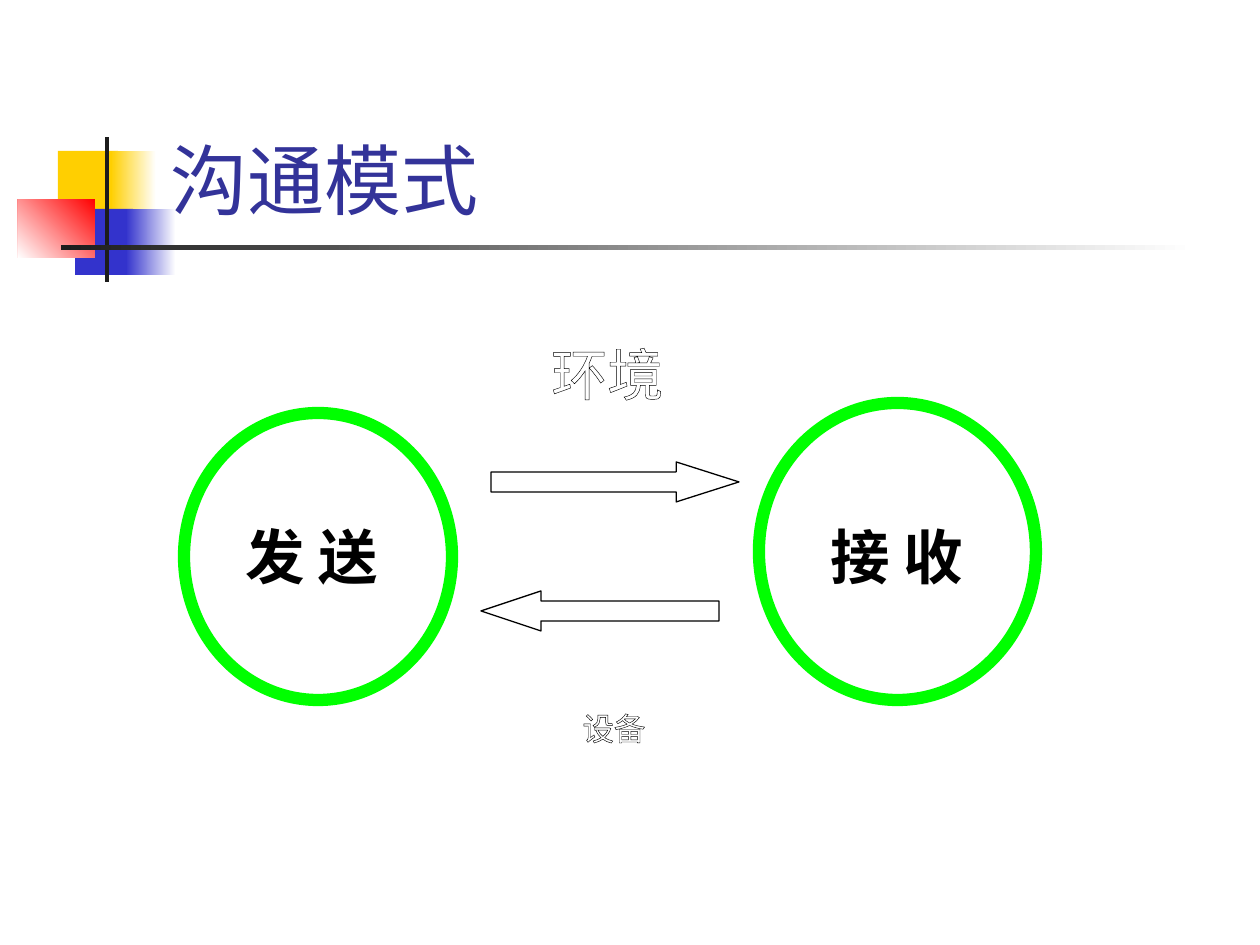
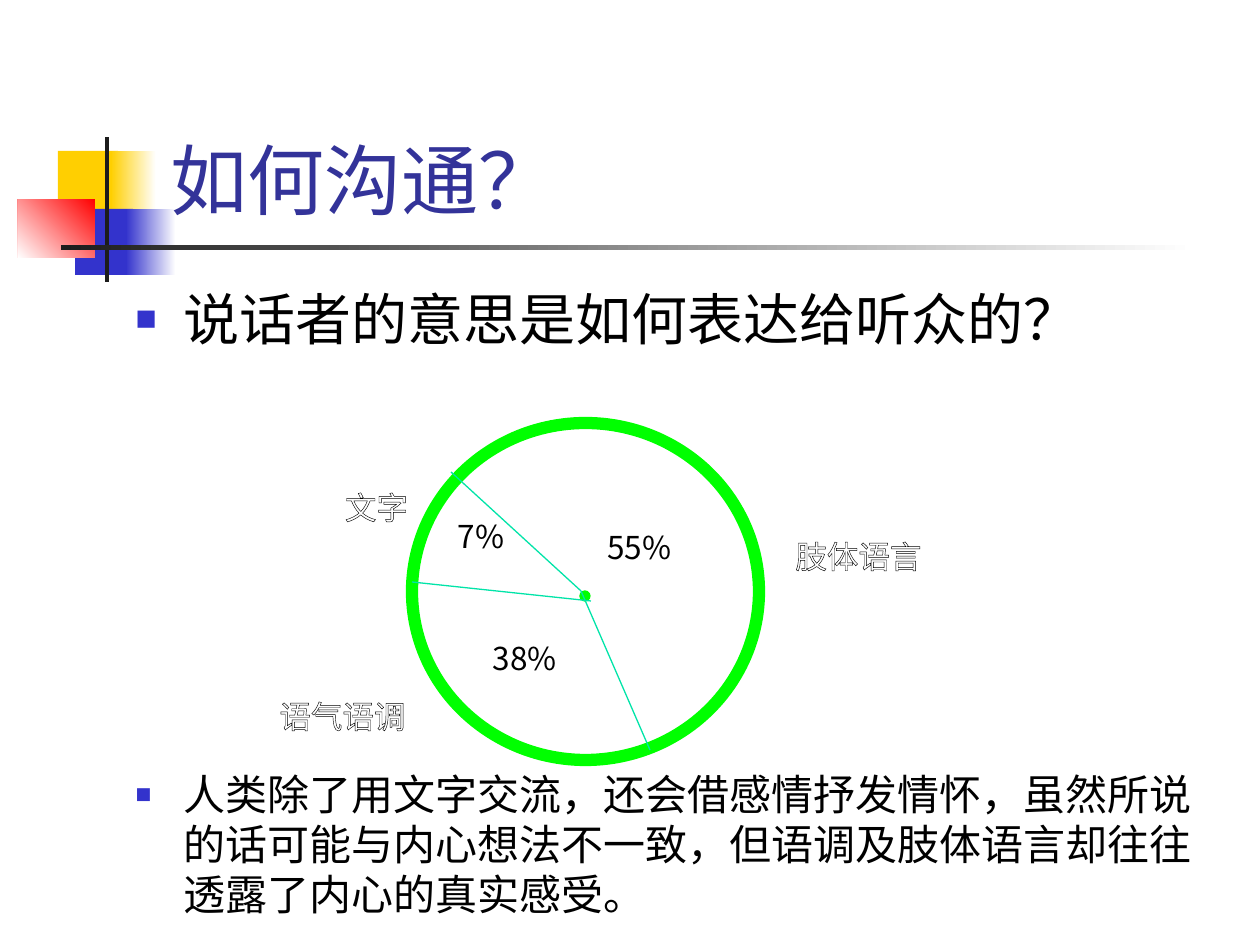
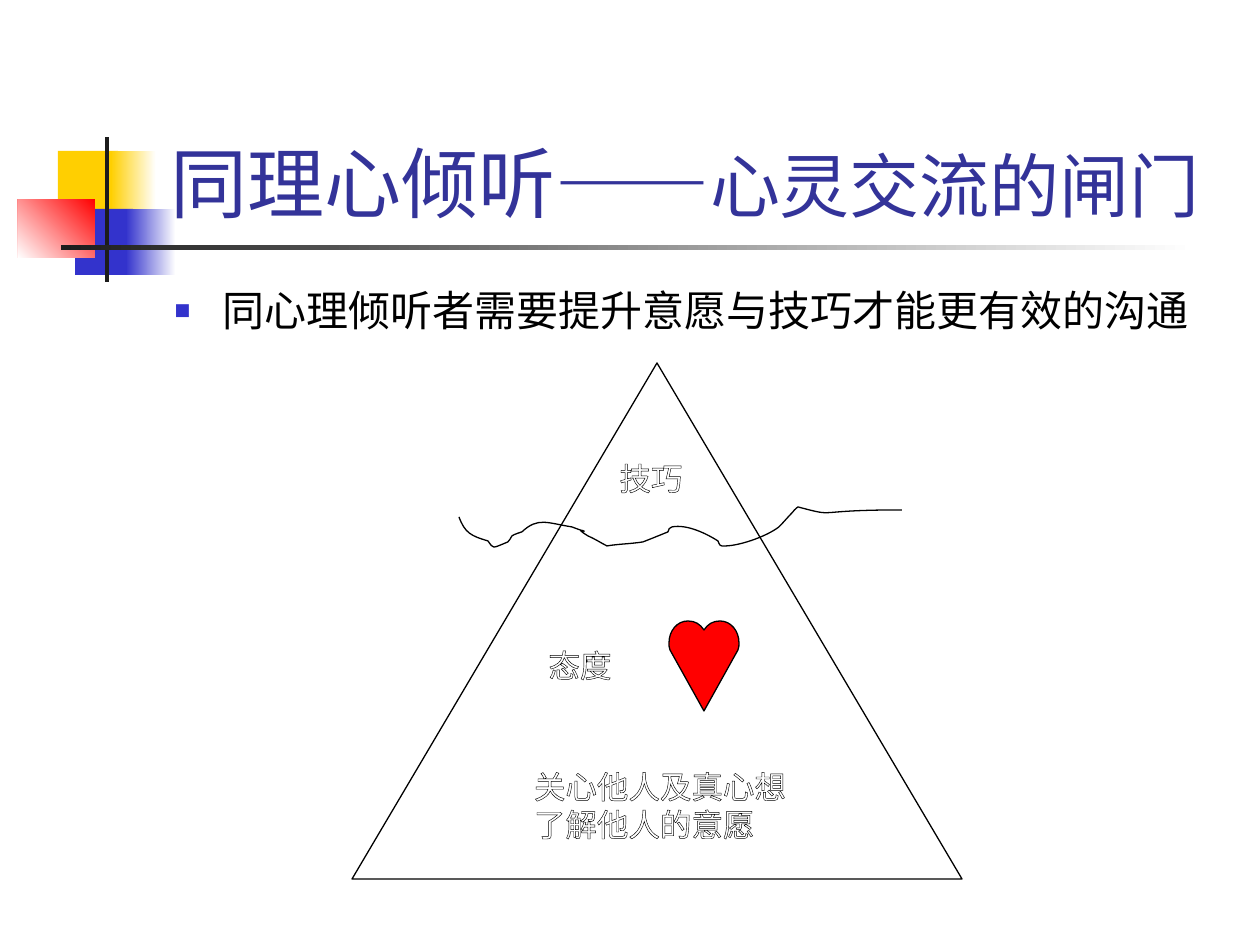
from lxml import etree
from pptx import Presentation
from pptx.dml.color import RGBColor
from pptx.enum.lang import MSO_LANGUAGE_ID
from pptx.enum.shapes import MSO_CONNECTOR, MSO_SHAPE
from pptx.enum.text import MSO_ANCHOR, MSO_AUTO_SIZE, PP_ALIGN
from pptx.oxml.ns import qn
from pptx.util import Emu, Pt

RECT, OVAL, TRIANGLE = MSO_SHAPE.RECTANGLE, MSO_SHAPE.OVAL, MSO_SHAPE.ISOSCELES_TRIANGLE
RIGHT, LEFT = MSO_SHAPE.RIGHT_ARROW, MSO_SHAPE.LEFT_ARROW
STRAIGHT = MSO_CONNECTOR.STRAIGHT
CHINESE = MSO_LANGUAGE_ID.SIMPLIFIED_CHINESE
SCALE = 914400 / 126  # EMU in one px
TEXT_FONT, LABEL_FONT = "Cabin", "Noto Sans CJK SC"
COLORS = {
    "title": "333399", "text": "000000", "white": "FFFFFF", "ink": "1C1C1C",
    "yellow": "FFCF01", "blue": "3333CC", "red": "FF0000",
    "ring": "00FF00", "ray": "00E4A8",
}

# Shared decoration: left, top, width, height, fill (two colours and angle make a gradient)
DECORATION = [
    ((58, 151, 60, 66), ("yellow",)),
    ((111, 151, 45, 66), ("white", "yellow", 180)),
    ((75, 209, 58, 66), ("blue",)),
    ((126, 209, 50, 66), ("white", "blue", 180)),
    ((18, 199, 77, 59), ("red", "white", 225)),
    ((105, 137, 4, 145), ("ink",)),
    ((61, 245, 1134, 5), ("white", "ink", 180)),
]
TITLE_PLACE = (158, 29, 1074, 202)

# Slide 1: communication model
MODEL_TITLE = [("沟通模式", 44, TEXT_FONT)]
MODEL_RINGS = [(184, 413, 268, 287), (759, 403, 277, 297)]
MODEL_ARROWS = [
    (RIGHT, (491, 462, 248, 40), 1.57),
    (LEFT, (481, 591, 238, 40), 1.5),
]
MODEL_ROLES = [("发 送", (233, 492, 179, 106)), ("接 收", (818, 492, 248, 106))]
MODEL_LABELS = [
    (["环境"], (551, 334, 113, 79), 32, "white"),
    (["设备"], (551, 690, 126, 63), 18, "white"),
]

# Slide 2: shares of meaning
SHARE_TITLE = [("如何沟通？", 44, TEXT_FONT)]
SHARE_BODY = [  # text, size, space before
    ("说话者的意思是如何表达给听众的？", 32, 0),
    ("人类除了用文字交流，还会借感情抒发情怀，虽然所说的话可能与内心想法不一致，"
     "但语调及肢体语言却往往透露了内心的真实感受。", 24, 238),
]
SHARE_RING = (412, 423, 347, 337)
SHARE_HUB = (580, 591, 10, 10)
SHARE_RAYS = [(581, 591, 451, 472), (581, 591, 650, 750), (412, 582, 591, 601)]
SHARE_LABELS = [
    (["7%"], (461, 531, 40, 30), 18, "text"),
    (["55%"], (610, 532, 59, 40), 18, "text"),
    (["38%"], (501, 651, 48, 32), 18, "text"),
    (["文字"], (343, 483, 67, 49), 18, "white"),
    (["语气语调"], (253, 701, 179, 40), 18, "white"),
    (["肢体语言"], (769, 532, 179, 49), 18, "white"),
]

# Slide 3: iceberg of empathic listening
ICEBERG_TITLE = [("同理心倾听——", 44, LABEL_FONT), ("心灵交流的闸门", 40, TEXT_FONT)]
ICEBERG_BODY = [("同心理倾听者需要提升意愿与技巧才能更有效的沟通", 24, 0)]
ICEBERG = (352, 363, 610, 516)
ICEBERG_LABELS = [
    (["技巧"], (600, 442, 102, 61), 18, "white"),
    (["态度"], (530, 631, 100, 59), 18, "white"),
    (["关心他人及真心想", "了解他人的意愿"], (422, 780, 476, 69), 18, "white"),
]
WATERLINE_START = (459, 517)
WATERLINE = [  # two control points and an end point for each curve
    ((465, 533), (471, 536), (488, 541)), ((494, 549), (491, 549), (508, 542)),
    ((510, 541), (510, 538), (512, 536)), ((515, 534), (519, 533), (522, 532)),
    ((538, 517), (547, 523), (572, 527)), ((601, 538), (567, 523), (588, 536)),
    ((595, 539), (601, 543), (607, 546)), ((619, 544), (631, 544), (643, 542)),
    ((651, 539), (668, 532), (668, 532)), ((669, 530), (669, 527), (672, 527)),
    ((687, 524), (707, 534), (718, 541)), ((719, 542), (719, 546), (722, 546)),
    ((737, 547), (766, 537), (779, 527)), ((784, 522), (788, 517), (793, 512)),
    ((794, 510), (798, 507), (798, 507)), ((840, 518), (808, 510), (902, 510)),
]
HEART_TIP = (704, 711)
HEART_LOBE = [  # left side up to the notch, each end point after its two controls
    (670, 650), (669, 648), (669, 645), (669, 643), (669, 631), (677, 621),
    (688, 621), (695, 621), (700, 624), (704, 630),
]


def px(*lengths):
    return [Emu(round(length * SCALE)) for length in lengths]


def color(name):
    return RGBColor.from_string(COLORS[name])


def place(shape, spot):
    shape.left, shape.top, shape.width, shape.height = px(*spot)


def paint(shape, fill=None, line=None, width=0.75):
    shape.shadow.inherit = False
    if fill:
        shape.fill.solid()
        shape.fill.fore_color.rgb = color(fill)
    else:
        shape.fill.background()
    if line:
        shape.line.color.rgb = color(line)
        shape.line.width = Pt(width)
    else:
        shape.line.fill.background()
    return shape


def add_shape(page, kind, spot, **style):
    return paint(page.shapes.add_shape(kind, *px(*spot)), **style)


def add_span(para, text, size, name, font, east_font=None, bold=False, outlined=False):
    span = para.add_run()
    span.text = text
    span.font.size, span.font.bold = Pt(size), bold
    span.font.color.rgb = color(name)
    span.font.name = font
    span.font.language_id = CHINESE
    props = span.font._element
    etree.SubElement(props, qn("a:ea"), typeface=east_font or font)
    if outlined:
        outline = etree.Element(qn("a:ln"), w=str(Pt(0.75)))
        fill = etree.SubElement(outline, qn("a:solidFill"))
        etree.SubElement(fill, qn("a:srgbClr"), val=COLORS["text"])
        props.insert(0, outline)


def add_text(page, lines, spot, size, name="text", role=False):
    """Bottom-anchored text: a bold wrapped role or an outlined label centred as a block."""
    frame = page.shapes.add_textbox(*px(*spot)).text_frame
    frame.word_wrap = role
    frame.auto_size = MSO_AUTO_SIZE.SHAPE_TO_FIT_TEXT if role else MSO_AUTO_SIZE.NONE
    frame.vertical_anchor = MSO_ANCHOR.BOTTOM
    if not role:
        frame._txBody.bodyPr.set("anchorCtr", "1")
    for i, text in enumerate(lines):
        para = frame.add_paragraph() if i else frame.paragraphs[0]
        if role:
            para.line_spacing = 1.3
        add_span(para, text, size, name, TEXT_FONT if role else LABEL_FONT,
                 bold=role, outlined=not role)


def add_labels(page, labels):
    for label in labels:
        add_text(page, *label)


def add_bullet(para):
    props = para._p.get_or_add_pPr()
    indent = px(48)[0]
    props.set("marL", str(indent))
    props.set("indent", str(-indent))
    tint = etree.SubElement(props, qn("a:buClr"))
    etree.SubElement(tint, qn("a:srgbClr"), val=COLORS["blue"])
    etree.SubElement(props, qn("a:buSzPct"), val="40000")
    etree.SubElement(props, qn("a:buFont"), typeface=TEXT_FONT)
    etree.SubElement(props, qn("a:buChar"), char="■")


def fill_title(page, spans):
    frame = page.shapes.title.text_frame
    frame.auto_size = MSO_AUTO_SIZE.NONE
    frame.vertical_anchor = MSO_ANCHOR.BOTTOM
    para = frame.paragraphs[0]
    para.alignment = PP_ALIGN.LEFT
    for text, size, east_font in spans:
        add_span(para, text, size, "title", TEXT_FONT, east_font)
        if east_font == LABEL_FONT:  # its deeper descent would lift the line
            frame.margin_bottom = px(3)[0]


def fill_body(page, items, spot):
    body = page.placeholders[1]
    place(body, spot)
    frame = body.text_frame
    frame.auto_size = MSO_AUTO_SIZE.NONE
    for i, (text, size, before) in enumerate(items):
        para = frame.add_paragraph() if i else frame.paragraphs[0]
        add_bullet(para)
        para.space_before = Pt(before)
        add_span(para, text, size, "text", TEXT_FONT)


def add_ray(page, ends):
    ray = page.shapes.add_connector(STRAIGHT, *px(*ends))
    ray.line.color.rgb = color("ray")
    ray.line.width = Pt(0.75)
    etree.SubElement(ray.element.spPr, qn("a:effectLst"))


def add_outline(page, start, segments, close=False, **style):
    """Freeform whose segments are lines (one point) or cubic curves (three points)."""
    builder = page.shapes.build_freeform(*px(*start))
    builder.add_line_segments([px(*segment[-1]) for segment in segments], close=close)
    shape = paint(builder.convert_to_shape(), **style)
    for line, segment in zip(shape.element.xpath(".//a:lnTo"), segments):
        if len(segment) == 3:
            curve = etree.Element(qn("a:cubicBezTo"))
            for point in segment:
                x, y = px(*point)
                etree.SubElement(curve, qn("a:pt"), x=str(x - shape.left), y=str(y - shape.top))
            line.getparent().replace(line, curve)


def decorate_master(master, page):
    """Draw the shared parts, then move them to the master."""
    place(master.placeholders[0], TITLE_PLACE)
    for i, (spot, fill) in enumerate(DECORATION):
        box = add_shape(page, RECT, spot, fill=fill[0])
        if len(fill) == 3:
            box.fill.gradient()
            box.fill.gradient_angle = fill[2]
            for stop, name in zip(box.fill.gradient_stops, fill):
                stop.color.rgb = color(name)
        box.element.xpath(".//p:cNvPr")[0].set("id", str(100 + i))
        master.shapes.element.append(box.element)


def build_model(page):
    fill_title(page, MODEL_TITLE)
    for spot in MODEL_RINGS:
        add_shape(page, OVAL, spot, line="ring", width=7)
    for kind, spot, head in MODEL_ARROWS:
        arrow = add_shape(page, kind, spot, line="text")
        arrow.adjustments[0], arrow.adjustments[1] = 0.5, head
    for text, spot in MODEL_ROLES:
        add_text(page, [text], spot, 34, role=True)
    add_labels(page, MODEL_LABELS)


def build_shares(page):
    fill_title(page, SHARE_TITLE)
    fill_body(page, SHARE_BODY, (123, 278, 1090, 667))
    add_shape(page, OVAL, SHARE_RING, line="ring", width=7)
    add_shape(page, OVAL, SHARE_HUB, fill="ring", line="ring")
    for ends in SHARE_RAYS:
        add_ray(page, ends)
    add_labels(page, SHARE_LABELS)


def build_iceberg(page):
    fill_title(page, ICEBERG_TITLE)
    fill_body(page, ICEBERG_BODY, (162, 278, 1071, 567))
    add_shape(page, TRIANGLE, ICEBERG, fill="white", line="text")
    add_labels(page, ICEBERG_LABELS[:1])
    add_outline(page, WATERLINE_START, WATERLINE, line="text")
    add_labels(page, ICEBERG_LABELS[1:2])
    # The right lobe of the heart mirrors the left one
    mirror = [(2 * HEART_TIP[0] - x, y) for x, y in reversed(HEART_LOBE)]
    points = HEART_LOBE[1:] + mirror[1:]
    curves = [points[i:i + 3] for i in range(0, len(points), 3)]
    add_outline(page, HEART_TIP, [HEART_LOBE[:1]] + curves, close=True, fill="red", line="text")
    add_labels(page, ICEBERG_LABELS[2:])


def main():
    deck = Presentation()
    deck.slide_width, deck.slide_height = px(1260, 945)
    title_only, with_body = deck.slide_layouts[5], deck.slide_layouts[1]
    pages = [deck.slides.add_slide(layout) for layout in (title_only, with_body, with_body)]
    decorate_master(deck.slide_master, pages[0])
    for build, page in zip((build_model, build_shares, build_iceberg), pages):
        build(page)
    deck.save("out.pptx")


if __name__ == "__main__":
    main()
